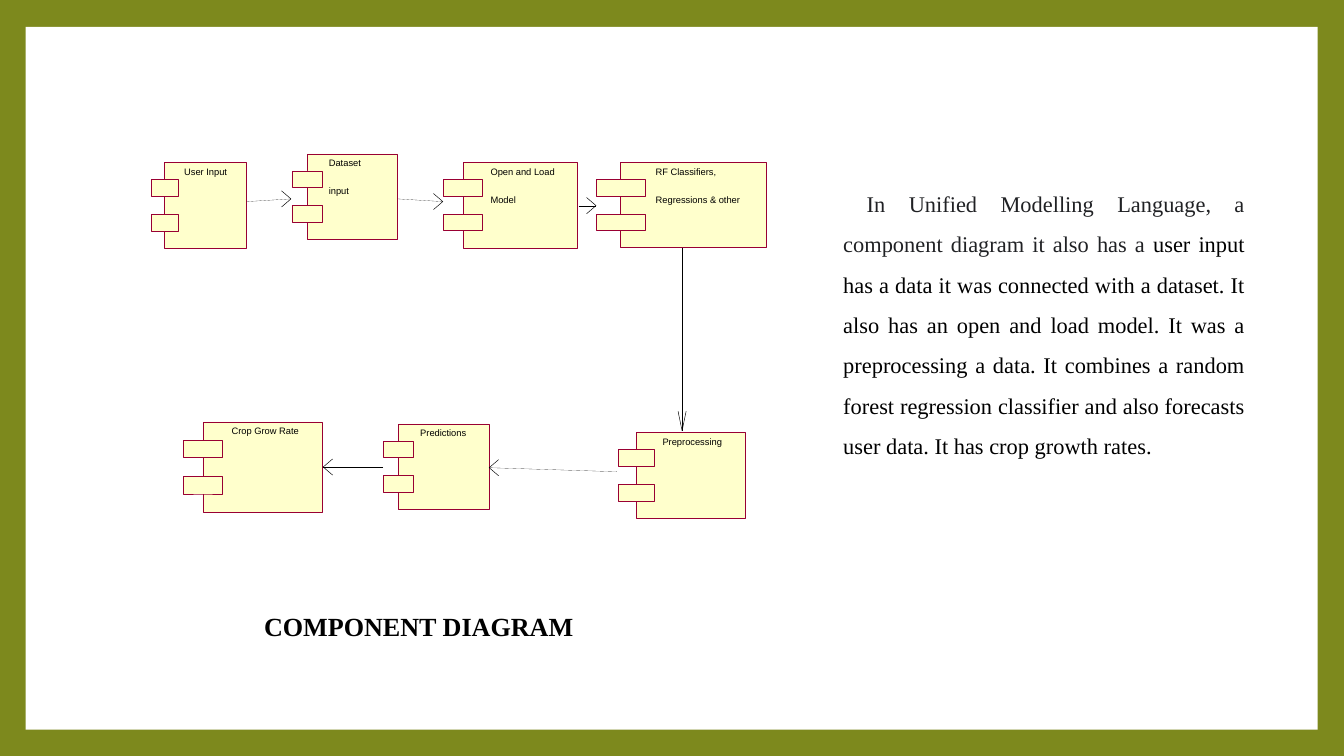
from dataclasses import dataclass

from lxml.etree import SubElement
from pptx import Presentation
from pptx.dml.color import RGBColor as Color
from pptx.enum.shapes import MSO_CONNECTOR as Connector, MSO_SHAPE as Shape
from pptx.enum.text import MSO_ANCHOR as Anchor, MSO_AUTO_SIZE as AutoSize, PP_ALIGN as Align
from pptx.oxml.ns import qn
from pptx.util import Inches, Pt


@dataclass(frozen=True)
class Theme:
    border: Color = Color.from_string("7D891D")
    paper: Color = Color.from_string("FFFFFF")
    component: Color = Color.from_string("FFFFCC")
    outline: Color = Color.from_string("990033")
    ink: Color = Color.from_string("000000")
    soft_ink: Color = Color.from_string("202124")
    label_font: str = "Arial"
    text_font: str = "Times New Roman"
    label_size: int = 10
    body_size: int = 24
    title_size: int = 28


class SlideBuilder:
    def __init__(self, slide, theme):
        self.slide = slide
        self.shapes = slide.shapes
        self.theme = theme

    def style(self, span, font, size, color, bold=False):
        span.font.name = font
        span.font.size = Pt(size)
        span.font.color.rgb = color
        span.font.bold = bold

    def rectangle(self, left, top, width, height, fill, line_width=0):
        box = self.shapes.add_shape(
            Shape.RECTANGLE, Inches(left), Inches(top), Inches(width), Inches(height))
        box.shadow.inherit = False
        box.fill.solid()
        box.fill.fore_color.rgb = fill
        if line_width:
            box.line.color.rgb = self.theme.outline
            box.line.width = Pt(line_width)
        else:
            box.line.fill.background()

    def frame(self):
        background = self.slide.background.fill
        background.solid()
        background.fore_color.rgb = self.theme.border
        self.rectangle(0.38, 0.4, 19.23, 10.46, self.theme.paper)

    def title(self, text, left, top, width, height):
        box = self.shapes.title
        # Lift the title above the white frame
        box.element.getparent().append(box.element)
        box.left, box.top = Inches(left), Inches(top)
        box.width, box.height = Inches(width), Inches(height)
        frame = box.text_frame
        frame.text = text
        frame.auto_size = AutoSize.NONE
        frame.vertical_anchor = Anchor.TOP
        para = frame.paragraphs[0]
        para.alignment = Align.LEFT
        theme = self.theme
        self.style(para.runs[0], theme.text_font, theme.title_size, theme.ink, bold=True)

    def label(self, lines, left, top, width):
        theme = self.theme
        box = self.shapes.add_textbox(
            Inches(left), Inches(top), Inches(width), Inches(0.41 * len(lines) + 0.08))
        frame = box.text_frame
        frame.word_wrap = True
        frame.margin_left = frame.margin_right = frame.margin_top = frame.margin_bottom = 0
        frame.text = "\n".join(lines)
        for para in frame.paragraphs:
            para.line_spacing = 1.07
            para.space_after = Pt(17)
            self.style(para.runs[0], theme.label_font, theme.label_size, theme.ink)

    def component(self, lines, left, top, width, height):
        """A body with two tabs across its left edge, all in proportion to the body."""
        fill, line_width = self.theme.component, round(width / 2, 2)
        self.rectangle(left, top, width, height, fill, line_width)
        for share in (0.2, 0.605):
            self.rectangle(left - width / 6, top + share * height,
                           width / 3, 0.195 * height, fill, line_width)
        self.label(lines, left + 0.24 * width, top + 0.04, 0.88 * width)

    def arrow(self, start, end, barbs):
        """A hairline shaft with an open head; barbs are offsets from the tip."""
        shaft = self.shapes.add_connector(
            Connector.STRAIGHT, *(Inches(value) for value in (*start, *end)))
        SubElement(shaft.element.spPr, qn("a:effectLst"))
        shaft.line.color.rgb = self.theme.ink
        shaft.line.width = Pt(0.1)

        points = [(Inches(end[0] + dx), Inches(end[1] + dy)) for dx, dy in barbs]
        tip = (Inches(end[0]), Inches(end[1]))
        outline = self.shapes.build_freeform(*points[0])
        outline.add_line_segments([tip, points[1]], close=False)
        head = outline.convert_to_shape()
        head.shadow.inherit = False
        head.fill.background()
        head.line.color.rgb = self.theme.ink
        head.line.width = Pt(0.52)

    def body_text(self, spans, left, top, width, height):
        theme = self.theme
        box = self.shapes.add_textbox(Inches(left), Inches(top), Inches(width), Inches(height))
        frame = box.text_frame
        frame.word_wrap = True
        para = frame.paragraphs[0]
        para.alignment = Align.JUSTIFY
        para.line_spacing = 1.5
        para.space_after = Pt(13.7)
        para._p.get_or_add_pPr().set("indent", str(Inches(0.35)))
        for text, color in spans:
            span = para.add_run()
            span.text = text
            self.style(span, theme.text_font, theme.body_size, color)


# Label lines, then left, top, width and height of each body
COMPONENTS = [
    (["User Input"], 2.45, 2.42, 1.21, 1.27),
    (["Dataset", "input"], 4.57, 2.29, 1.35, 1.27),
    (["Open and Load", "Model"], 6.89, 2.42, 1.71, 1.27),
    (["RF Classifiers,", "Regressions & other"], 9.24, 2.42, 2.16, 1.27),
    (["Preprocessing"], 9.47, 6.44, 1.62, 1.27),
    (["Predictions"], 5.93, 6.31, 1.35, 1.27),
    (["Crop Grow Rate"], 3.02, 6.28, 1.78, 1.34),
]

# Barb offsets for each arrow direction
RIGHT = [(-0.14, -0.12), (-0.14, 0.12)]
LEFT = [(0.14, -0.12), (0.14, 0.12)]
DOWN = [(-0.06, -0.29), (0.06, -0.29)]

ARROWS = [
    ((3.67, 3), (4.33, 2.96), RIGHT),
    ((5.92, 2.96), (6.59, 3), RIGHT),
    ((8.61, 3.06), (8.87, 3.06), RIGHT),
    ((10.15, 3.69), (10.15, 6.41), DOWN),
    ((9.18, 7.02), (7.28, 6.96), LEFT),
    ((5.7, 6.95), (4.81, 6.95), LEFT),
]


def main():
    deck = Presentation()
    deck.slide_width, deck.slide_height = Inches(20), Inches(11.25)
    theme = Theme()
    page = SlideBuilder(deck.slides.add_slide(deck.slide_layouts[5]), theme)
    page.frame()

    # Component diagram
    for component in COMPONENTS:
        page.component(*component)
    for arrow in ARROWS:
        page.arrow(*arrow)

    # Title and description
    page.title("COMPONENT DIAGRAM", 3.83, 9.04, 10, 0.57)
    page.body_text([
        ("In Unified Modelling Language, a component diagram it also has a", theme.soft_ink),
        (" user input has a data it was connected with a dataset. It also has an open and "
         "load model. It was a preprocessing a data. It combines a random forest regression "
         "classifier and also forecasts user data. It has crop growth rates.", theme.ink),
    ], 12.45, 2.58, 6.17, 4.27)

    deck.save("out.pptx")


if __name__ == "__main__":
    main()
